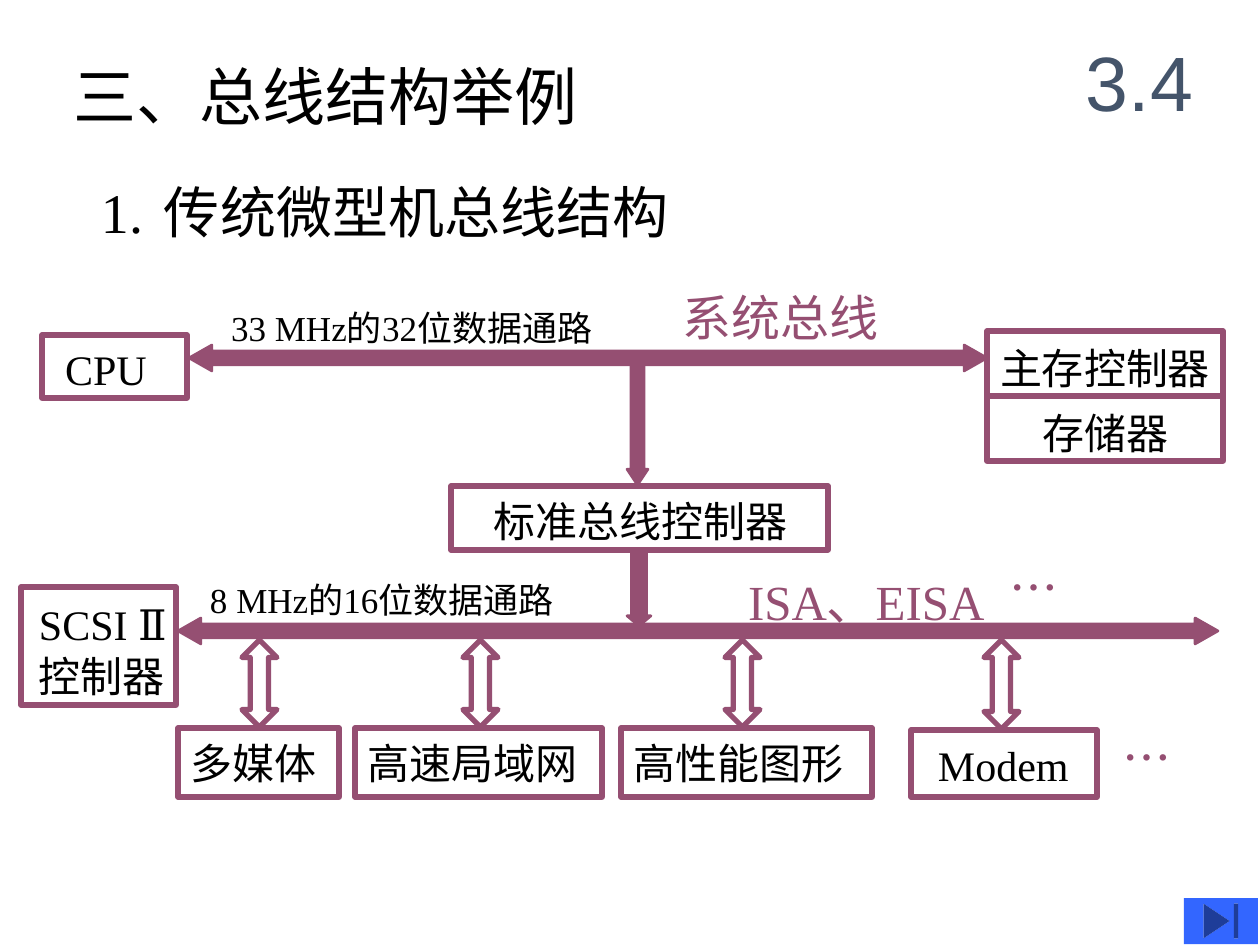
from lxml.etree import SubElement
from pptx import Presentation
from pptx.dml.color import RGBColor
from pptx.enum.shapes import MSO_SHAPE
from pptx.enum.text import MSO_ANCHOR, MSO_AUTO_SIZE, PP_ALIGN
from pptx.oxml.ns import qn
from pptx.util import Emu, Pt

EMU_PER_PX = 914400 / 126
COLORS = {"text": "000000", "bus": "954F72", "section": "44546A", "button": "3366FF"}
LATIN = "Times New Roman"
CJK = "Noto Sans CJK SC"


def px(value):
    """Convert pixels to EMU."""
    return Emu(round(value * EMU_PER_PX))


def rgb(name):
    """Look up a palette colour."""
    return RGBColor.from_string(COLORS[name])


def place(shape, left, top, width, height):
    """Move and size a shape in pixels."""
    shape.left, shape.top = px(left), px(top)
    shape.width, shape.height = px(width), px(height)


def write(shape, text, size=24, font=LATIN, color="text", align=PP_ALIGN.LEFT,
          anchor=MSO_ANCHOR.TOP, inset=(0, 0), tab=None):
    """Fill a shape with formatted paragraphs, one per line of text."""
    frame = shape.text_frame
    frame.auto_size = MSO_AUTO_SIZE.NONE
    frame.word_wrap = True
    frame.vertical_anchor = anchor
    frame.margin_left, frame.margin_top = px(inset[0]), px(inset[1])
    frame.margin_right = frame.margin_bottom = 0
    frame.text = text
    for paragraph in frame.paragraphs:
        paragraph.alignment = align
        paragraph.line_spacing = Pt(size * 1.25)
        paragraph.space_before = Pt(0)
        if tab:
            properties = paragraph._p.get_or_add_pPr()
            properties.set("marL", "0")
            properties.set("indent", "0")
            SubElement(properties, qn("a:buNone"))
            stops = SubElement(properties, qn("a:tabLst"))
            SubElement(stops, qn("a:tab"), pos=str(px(tab)), algn="l")
        for run in paragraph.runs:
            run.font.size = Pt(size)
            run.font.name = font
            run.font.color.rgb = rgb(color)
            SubElement(run._r.get_or_add_rPr(), qn("a:ea"), typeface=CJK)


def add_label(slide, box, text, **style):
    """Add a free-standing text box."""
    shape = slide.shapes.add_textbox(*map(px, box))
    write(shape, text, **style)


def add_preset(slide, kind, box, fill=None, line="bus", weight=3):
    """Add a flat preset shape."""
    shape = slide.shapes.add_shape(kind, *map(px, box))
    shape.shadow.inherit = False
    if fill:
        shape.fill.solid()
        shape.fill.fore_color.rgb = rgb(fill)
    else:
        shape.fill.background()
    if line:
        shape.line.color.rgb = rgb(line)
        shape.line.width = Pt(weight)
    else:
        shape.line.fill.background()
    return shape


def add_box(slide, box, text, **style):
    """Add an outlined component box with its name."""
    write(add_preset(slide, MSO_SHAPE.RECTANGLE, box), text, **style)


def add_arrow(slide, kind, box, shaft, head, **style):
    """Add a block arrow with its shaft and head proportions."""
    arrow = add_preset(slide, kind, box, **style)
    arrow.adjustments[0] = shaft
    arrow.adjustments[1] = head


def add_headings(slide):
    """Place the title, the list item and the section number."""
    title, body = slide.shapes.title, slide.placeholders[1]
    place(title, 60, 44, 600, 88)
    write(title, "三、总线结构举例", size=36, inset=(13, 10))
    place(body, 88, 168, 700, 81)
    write(body, "1.\t传统微型机总线结构", size=32, inset=(13, 7), tab=82)
    add_label(slide, (1061, 21, 157, 116), "3.4", size=44, font="Arial",
              color="section", align=PP_ALIGN.CENTER, anchor=MSO_ANCHOR.MIDDLE)


def add_buses(slide):
    """Draw the two buses, their links and their labels."""
    solid = {"fill": "bus", "weight": 1.5}
    add_arrow(slide, MSO_SHAPE.DOWN_ARROW, (627, 549, 24, 77), 0.63, 0.42, **solid)
    add_arrow(slide, MSO_SHAPE.DOWN_ARROW, (627, 359, 21, 126), 0.62, 0.75, **solid)
    for box in ((189, 345, 798, 26), (178, 618, 1040, 26)):
        add_arrow(slide, MSO_SHAPE.LEFT_RIGHT_ARROW, box, 0.53, 0.88, **solid)
    add_label(slide, (231, 305, 420, 42), "33 MHz的32位数据通路", size=20)
    add_label(slide, (210, 577, 420, 42), "8 MHz的16位数据通路", size=20)
    add_label(slide, (683, 285, 220, 60), "系统总线", size=28, color="bus")
    add_label(slide, (748, 569, 270, 60), "ISA、EISA", size=28, color="bus")
    for left, top in ((1010, 555), (1123, 725)):
        add_label(slide, (left, top, 62, 60), "…", size=28, font=CJK, color="bus")


def add_controllers(slide):
    """Draw the processor, memory and controller boxes."""
    add_box(slide, (42, 335, 145, 63), "CPU", inset=(23, 6))
    add_box(slide, (987, 331, 236, 65), "主存控制器", inset=(13, 9))
    add_box(slide, (987, 396, 236, 65), "存储器", inset=(55, 9))
    add_box(slide, (451, 486, 377, 64), "标准总线控制器", inset=(43, 7))
    add_box(slide, (21, 587, 155, 118), "SCSI Ⅱ\n控制器", inset=(18, 9))


def add_devices(slide):
    """Draw the peripheral boxes and their links to the lower bus."""
    devices = [
        ("多媒体", 178, 728, 161, 13, 259),
        ("高速局域网", 355, 728, 247, 13, 480),
        ("高性能图形", 621, 728, 251, 13, 742),
        ("Modem", 911, 730, 186, 27, 1001),
    ]
    for name, left, top, width, inset, center in devices:
        add_arrow(slide, MSO_SHAPE.UP_DOWN_ARROW, (center - 17, 640, 35, top - 641), 0.48, 0.52)
        add_box(slide, (left, top, width, 797 - top), name, inset=(inset, 7))


def main():
    """Build and save the slide."""
    presentation = Presentation()
    presentation.slide_width, presentation.slide_height = px(1260), px(945)
    slide = presentation.slides.add_slide(presentation.slide_layouts[1])
    add_headings(slide)
    add_buses(slide)
    add_controllers(slide)
    add_devices(slide)
    add_preset(slide, MSO_SHAPE.ACTION_BUTTON_END, (1184, 898, 74, 46), fill="button", line=None)
    presentation.save("out.pptx")


if __name__ == "__main__":
    main()
